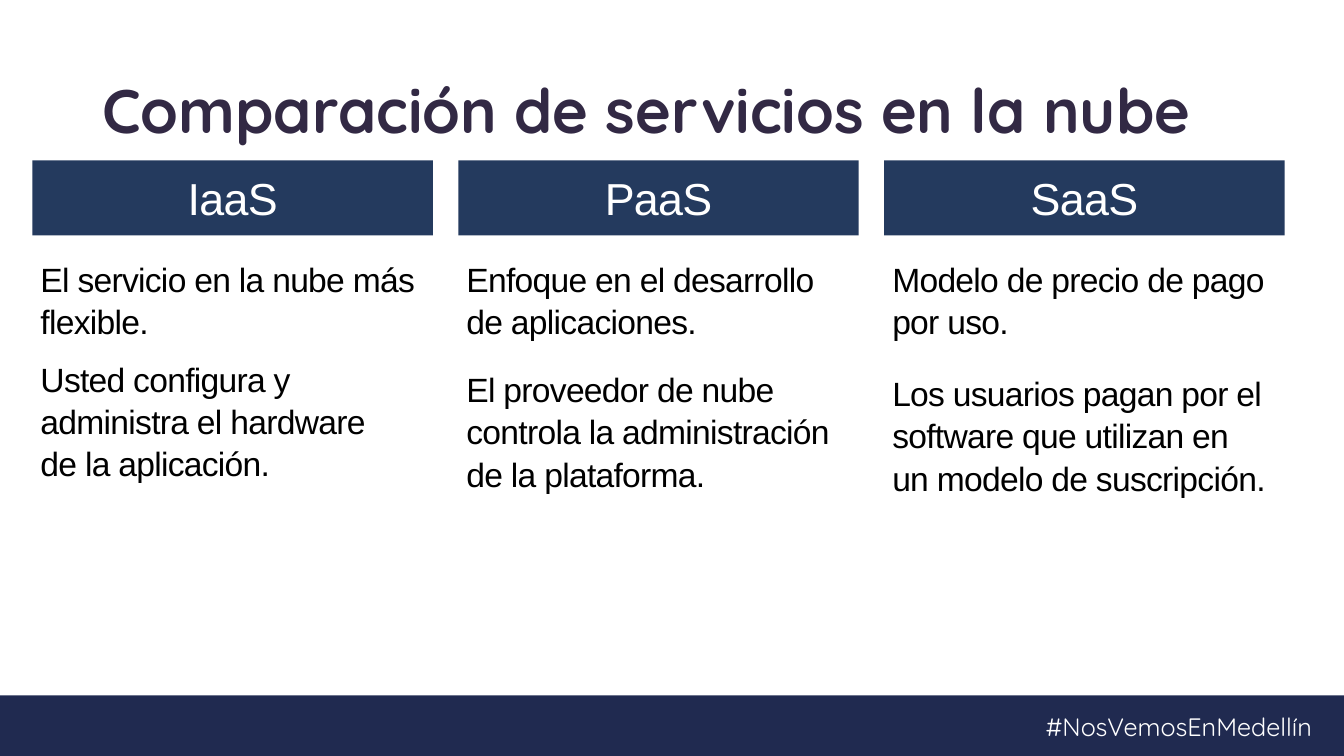
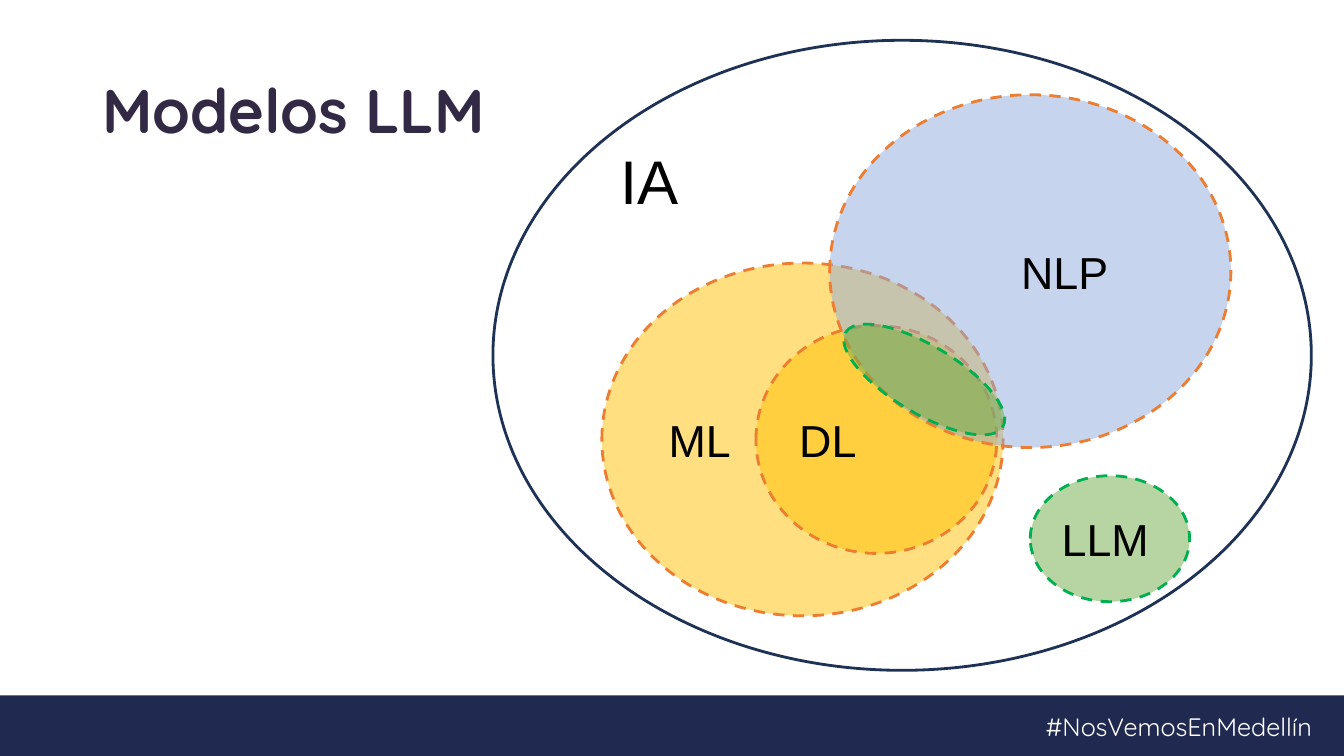
import pptx
import pptx.dml.color
import pptx.enum.dml
import pptx.enum.shapes
import pptx.enum.text
import pptx.oxml.ns
import pptx.util
from lxml import etree

Pt = pptx.util.Pt
RGBColor = pptx.dml.color.RGBColor
SHAPE = pptx.enum.shapes.MSO_SHAPE
ALIGN = pptx.enum.text.PP_ALIGN
ANCHOR = pptx.enum.text.MSO_ANCHOR

WHITE = RGBColor(0xFF, 0xFF, 0xFF)
BLACK = RGBColor(0x00, 0x00, 0x00)
BAND = RGBColor(0x20, 0x2A, 0x50)
TITLE = RGBColor(0x32, 0x29, 0x44)
HEADER = RGBColor(0x24, 0x3A, 0x5E)
OUTLINE = RGBColor(0x1E, 0x32, 0x56)
YELLOW = RGBColor(0xFF, 0xC0, 0x00)
ORANGE = RGBColor(0xED, 0x7D, 0x31)
BLUE = RGBColor(0x8F, 0xAA, 0xDC)
GREEN = RGBColor(0x70, 0xAD, 0x47)
GREEN_LINE = RGBColor(0x00, 0xB0, 0x50)

TITLE_FONT = "Quicksand"
BODY_FONT = "Arial"
SLIDE_WIDTH, SLIDE_HEIGHT = 960, 540
BAND_HEIGHT = 43.2
INSETS = (5.76, 3.6, 7.2, 3.6)

SERVICES = [
    ("IaaS", [("El servicio en la nube más flexible.", 180, 285),
              ("Usted configura y administra el hardware de la aplicación.", 251.3, 269.3)]),
    ("PaaS", [("Enfoque en el desarrollo de aplicaciones.", 180, 284.4),
              ("El proveedor de nube controla la administración de la plataforma.", 258.5, 284.4)]),
    ("SaaS", [("Modelo de precio de pago por uso.", 180, 284.4),
              ("Los usuarios pagan por el software que utilizan en un modelo de suscripción.",
               261.4, 284.4)]),
]


def write_text(shape, text, *, size, font=BODY_FONT, color=BLACK, bold=False, align=ALIGN.LEFT,
               anchor=ANCHOR.TOP, insets=INSETS, line_spacing=None, tracking=None, wrap=True):
    """Fill a shape with one formatted paragraph; tracking is in points."""
    frame = shape.text_frame
    frame.word_wrap = wrap
    frame.vertical_anchor = anchor
    frame.margin_left, frame.margin_top, frame.margin_right, frame.margin_bottom = map(Pt, insets)
    paragraph = frame.paragraphs[0]
    paragraph.alignment = align
    if line_spacing:
        paragraph.line_spacing = line_spacing
    run = paragraph.add_run()
    run.text = text
    run.font.name = font
    run.font.size = Pt(size)
    run.font.bold = bold
    run.font.color.rgb = color
    if tracking:
        run.font._element.set("spc", str(round(tracking * 100)))


def add_text(slide, box, text, **text_format):
    """Add a text box at (left, top, width, height)."""
    write_text(slide.shapes.add_textbox(*map(Pt, box)), text, **text_format)


def add_filled(slide, box, fill, kind=SHAPE.RECTANGLE):
    """Add a flat shape without outline; a fill of None leaves it empty."""
    shape = slide.shapes.add_shape(kind, *map(Pt, box))
    shape.shadow.inherit = False
    shape.line.fill.background()
    if fill is None:
        shape.fill.background()
    else:
        shape.fill.solid()
        shape.fill.fore_color.rgb = fill
    return shape


def add_set(slide, box, line, fill=None, rotation=0):
    """Add one ellipse of the set diagram, half transparent and dashed if filled."""
    ellipse = add_filled(slide, box, fill, SHAPE.OVAL)
    ellipse.rotation = rotation
    ellipse.line.color.rgb = line
    ellipse.line.width = Pt(2)
    if fill is not None:
        ellipse.line.dash_style = pptx.enum.dml.MSO_LINE.DASH
        qualified = pptx.oxml.ns.qn
        color = ellipse._element.spPr.find(qualified("a:solidFill")).find(qualified("a:srgbClr"))
        etree.SubElement(color, qualified("a:alpha")).set("val", "50000")
    return ellipse


def add_base_slide(presentation, title):
    """Add a slide with the shared footer band and title."""
    slide = presentation.slides.add_slide(presentation.slide_layouts[6])
    top = SLIDE_HEIGHT - BAND_HEIGHT
    add_filled(slide, (0, top, SLIDE_WIDTH, BAND_HEIGHT), BAND)
    add_text(slide, (740, top + 8, 220, 29), "#NosVemosEnMedellín", size=18, font=TITLE_FONT,
             color=WHITE, insets=(7.2, 3.6, 7.2, 3.6), wrap=False)
    add_text(slide, (66, 28.8, 828, 104.4), title, size=44, font=TITLE_FONT, color=TITLE,
             bold=True, anchor=ANCHOR.MIDDLE, insets=(7.2, 3.6, 7.2, 3.6), line_spacing=0.9)
    return slide


def add_service(slide, left, top, name, statements):
    """Add a service column: a header and its statements."""
    header = add_filled(slide, (left, top, 286, 53.5), HEADER)
    write_text(header, name, size=32, color=WHITE, align=ALIGN.CENTER,
               insets=(7.2, 7.2, 7.2, 3.6), tracking=-0.5)
    for text, text_top, width in statements:
        add_text(slide, (left, text_top, width, 61), text, size=24, line_spacing=1.05,
                 tracking=-0.5)


def build_services(presentation):
    """Build the comparison of cloud services."""
    slide = add_base_slide(presentation, "Comparación de servicios en la nube")
    for index, (name, statements) in enumerate(SERVICES):
        add_service(slide, 23.2 + index * 304.2, 114.6, name, statements)


def add_model_sets(slide, left, top):
    """Add the nested sets of models inside the outer ellipse."""
    outer = add_set(slide, (left, top, 584.6, 450), OUTLINE)
    write_text(outer, "IA", size=44, insets=(5.76, 7.2, 7.2, 3.6))
    sets = [
        ("ML", (77.8, 159.1, 286.6, 252), YELLOW, ORANGE, 0),
        ("DL", (187.9, 203.8, 172, 162.7), YELLOW, ORANGE, 0),
        ("NLP", (240.5, 38.9, 286.6, 252), BLUE, ORANGE, 89),
        ("LLM", (383.8, 311, 113.8, 90), GREEN, GREEN_LINE, 0),
    ]
    for name, (x, y, width, height), fill, line, indent in sets:
        ellipse = add_set(slide, (left + x, top + y, width, height), line, fill)
        write_text(ellipse, name, size=32, anchor=ANCHOR.MIDDLE,
                   insets=(5.76 + indent, 3.6, 7.2, 3.6))
    add_set(slide, (left + 242.6, top + 218.2, 131, 48.2), GREEN_LINE, GREEN, rotation=31)


def build_models(presentation):
    """Build the slide on language models."""
    slide = add_base_slide(presentation, "Modelos LLM")
    add_model_sets(slide, 352.1, 28.8)


def main():
    """Build and save the presentation."""
    presentation = pptx.Presentation()
    presentation.slide_width = Pt(SLIDE_WIDTH)
    presentation.slide_height = Pt(SLIDE_HEIGHT)
    build_services(presentation)
    build_models(presentation)
    presentation.save("out.pptx")


if __name__ == "__main__":
    main()
